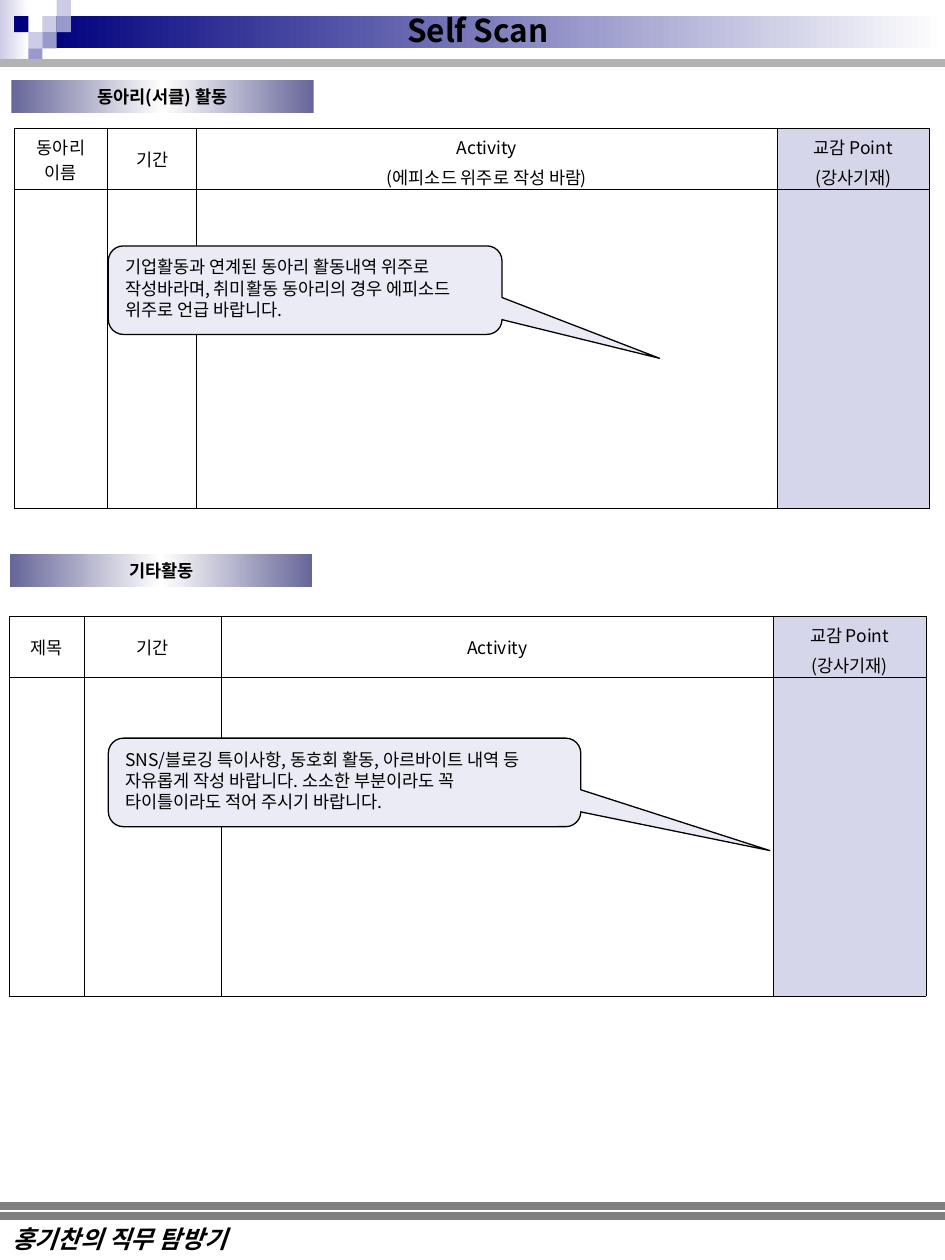
from dataclasses import dataclass
from typing import Optional

from lxml.etree import SubElement
from pptx import Presentation
from pptx.dml.color import RGBColor
from pptx.enum.shapes import MSO_CONNECTOR, MSO_SHAPE
from pptx.enum.text import MSO_ANCHOR, MSO_AUTO_SIZE, PP_ALIGN
from pptx.oxml.ns import qn
from pptx.util import Pt

BLACK = RGBColor(0x00, 0x00, 0x00)
WHITE = RGBColor(0xFF, 0xFF, 0xFF)
NAVY = RGBColor(0x00, 0x00, 0x7D)
SLATE = RGBColor(0x66, 0x66, 0x99)
LAVENDER = RGBColor(0x99, 0x99, 0xCC)
PALE = RGBColor(0xCC, 0xCC, 0xE6)
POINT_FILL = RGBColor(0xD6, 0xD6, 0xEB)
CALLOUT_FILL = RGBColor(0xEB, 0xEB, 0xF5)
LIGHT_GREY = RGBColor(0xB2, 0xB2, 0xB2)
GREY = RGBColor(0x80, 0x80, 0x80)

KOREAN_FONT = "Noto Sans CJK KR"
FOOTER_FONT = "Times New Roman"
SLIDE_WIDTH, SLIDE_HEIGHT = 540, 720
TILE_WIDTH, TILE_HEIGHT = 8.1, 9.2


@dataclass(frozen=True)
class Box:
    left: float
    top: float
    width: float
    height: float

    def lengths(self) -> tuple:
        return Pt(self.left), Pt(self.top), Pt(self.width), Pt(self.height)


@dataclass(frozen=True)
class Header:
    text: str
    width: float
    two_lines: bool = False


@dataclass(frozen=True)
class Section:
    heading: str
    heading_box: Box
    left: float
    top: float
    headers: tuple[Header, ...]
    hint: str
    hint_box: Box


POINT_HEADER = Header("교감 Point\n(강사기재)", 87.2, True)

SECTIONS = (
    Section(
        "동아리(서클) 활동", Box(6.5, 45.8, 172.8, 19), 8.1, 73.3,
        (
            Header("동아리 이름", 53.5, True),
            Header("기간", 50.8),
            Header("Activity\n(에피소드 위주로 작성 바람)", 331.7, True),
            POINT_HEADER,
        ),
        "기업활동과 연계된 동아리 활동내역 위주로\n"
        "작성바라며, 취미활동 동아리의 경우 에피소드\n"
        "위주로 언급 바랍니다.",
        Box(61.9, 140.5, 225, 50.6),
    ),
    Section(
        "기타활동", Box(5.7, 316.4, 172.8, 19), 5.4, 352.2,
        (
            Header("제목", 42.7),
            Header("기간", 78.4),
            Header("Activity", 315.4),
            POINT_HEADER,
        ),
        "SNS/블로깅 특이사항, 동호회 활동, 아르바이트 내역 등\n"
        "자유롭게 작성 바랍니다. 소소한 부분이라도 꼭\n"
        "타이틀이라도 적어 주시기 바랍니다.",
        Box(61.9, 421.8, 270, 50.6),
    ),
)

TILES = (
    (3, 1, PALE), (4, 0, PALE), (4, 1, LAVENDER), (2, 2, PALE),
    (1, 1, NAVY), (3, 2, LAVENDER), (2, 3, LAVENDER),
)


def write(frame, text: str, size: float = 10, bold: bool = False,
          italic: bool = False, font: str = KOREAN_FONT,
          align: PP_ALIGN = PP_ALIGN.LEFT, before: float = 0) -> None:
    frame.text = text
    for paragraph in frame.paragraphs:
        paragraph.alignment = align
        paragraph.space_before = Pt(before)
        for run in paragraph.runs:
            run.font.size = Pt(size)
            run.font.bold = bold
            run.font.italic = italic
            run.font.name = font
            run.font.color.rgb = BLACK
            east_asian = SubElement(run.font._element, qn("a:ea"))
            east_asian.set("typeface", KOREAN_FONT)


def add_block(slide, box: Box, fill: Optional[RGBColor] = None,
              kind: MSO_SHAPE = MSO_SHAPE.RECTANGLE):
    block = slide.shapes.add_shape(kind, *box.lengths())
    block.shadow.inherit = False
    block.line.fill.background()
    if fill is not None:
        block.fill.solid()
        block.fill.fore_color.rgb = fill
    return block


def add_gradient(slide, box: Box, *colours: RGBColor):
    block = add_block(slide, box)
    block.fill.gradient()
    block.fill.gradient_angle = 0
    stops = block.element.spPr.find(qn("a:gradFill")).find(qn("a:gsLst"))
    for stop in list(stops):
        stops.remove(stop)
    for index, colour in enumerate(colours):
        stop = SubElement(stops, qn("a:gs"))
        stop.set("pos", str(100000 * index // (len(colours) - 1)))
        SubElement(stop, qn("a:srgbClr")).set("val", str(colour))
    return block


def add_rule(slide, top: float, colour: RGBColor) -> None:
    rule = slide.shapes.add_connector(
        MSO_CONNECTOR.STRAIGHT, Pt(0), Pt(top), Pt(SLIDE_WIDTH), Pt(top))
    rule.line.color.rgb = colour
    rule.line.width = Pt(4.5)
    SubElement(rule.element.spPr, qn("a:effectLst"))


def format_cell(cell, fill: Optional[RGBColor]) -> None:
    properties = cell._tc.get_or_add_tcPr()
    for side in ("L", "R", "T", "B"):
        border = SubElement(properties, qn(f"a:ln{side}"))
        border.set("w", str(Pt(0.45)))
        solid = SubElement(border, qn("a:solidFill"))
        SubElement(solid, qn("a:srgbClr")).set("val", str(BLACK))
    if fill is None:
        cell.fill.background()
    else:
        cell.fill.solid()
        cell.fill.fore_color.rgb = fill


def add_activity_table(slide, section: Section) -> None:
    headers = section.headers
    box = Box(section.left, section.top, sum(h.width for h in headers), 216)
    table = slide.shapes.add_table(2, len(headers), *box.lengths()).table
    table.first_row = False
    table.horz_banding = False
    for row, height in zip(table.rows, (34, 182)):
        row.height = Pt(height)
    for index, header in enumerate(headers):
        table.columns[index].width = Pt(header.width)
        fill = POINT_FILL if header is POINT_HEADER else None
        for row in range(2):
            format_cell(table.cell(row, index), fill)
        cell = table.cell(0, index)
        write(cell.text_frame, header.text, align=PP_ALIGN.CENTER, before=2.5)
        cell.vertical_anchor = MSO_ANCHOR.TOP if header.two_lines else MSO_ANCHOR.MIDDLE
        if header.two_lines:
            cell.margin_bottom = Pt(0)


def add_heading(slide, section: Section) -> None:
    heading = add_gradient(slide, section.heading_box, SLATE, WHITE, SLATE)
    heading.text_frame.vertical_anchor = MSO_ANCHOR.MIDDLE
    write(heading.text_frame, section.heading, bold=True, align=PP_ALIGN.CENTER)


def add_hint(slide, section: Section) -> None:
    hint = add_block(slide, section.hint_box, CALLOUT_FILL,
                     MSO_SHAPE.ROUNDED_RECTANGULAR_CALLOUT)
    hint.line.color.rgb = BLACK
    hint.line.width = Pt(0.75)
    for index, value in enumerate((0.9, 0.77, 0.17)):
        hint.adjustments[index] = value
    hint.text_frame.word_wrap = True
    hint.text_frame.vertical_anchor = MSO_ANCHOR.TOP
    write(hint.text_frame, section.hint)


def add_frame(slide) -> None:
    add_gradient(slide, Box(0, 0, 16.4, 36), PALE, WHITE)
    add_gradient(slide, Box(24.3, 9.2, 515.7, 18.4), NAVY, WHITE)
    for column, row, colour in TILES:
        add_block(slide, Box(column * TILE_WIDTH, row * TILE_HEIGHT,
                             TILE_WIDTH, TILE_HEIGHT), colour)
    for top, colour in ((36, LIGHT_GREY), (694.8, GREY), (689, GREY)):
        add_rule(slide, top, colour)
    footer = slide.shapes.add_textbox(*Box(0, 696.2, 247.7, 24.5).lengths())
    footer.text_frame.word_wrap = True
    write(footer.text_frame, "홍기찬의 직무 탐방기", 14, True, True, FOOTER_FONT)


def place_title(slide) -> None:
    title = slide.shapes.title
    title.left, title.top, title.width, title.height = Box(225.4, 2.9, 96.5, 28.8).lengths()
    title.text_frame.auto_size = MSO_AUTO_SIZE.NONE
    title.text_frame.word_wrap = False
    title.text_frame.vertical_anchor = MSO_ANCHOR.TOP
    write(title.text_frame, "Self Scan", 18, True)
    slide.shapes[-1].element.addnext(title.element)


def main() -> None:
    presentation = Presentation()
    presentation.slide_width = Pt(SLIDE_WIDTH)
    presentation.slide_height = Pt(SLIDE_HEIGHT)
    slide = presentation.slides.add_slide(presentation.slide_layouts[5])
    add_frame(slide)
    place_title(slide)
    for section in SECTIONS:
        add_heading(slide, section)
        add_activity_table(slide, section)
        add_hint(slide, section)
    presentation.save("out.pptx")


if __name__ == "__main__":
    main()
